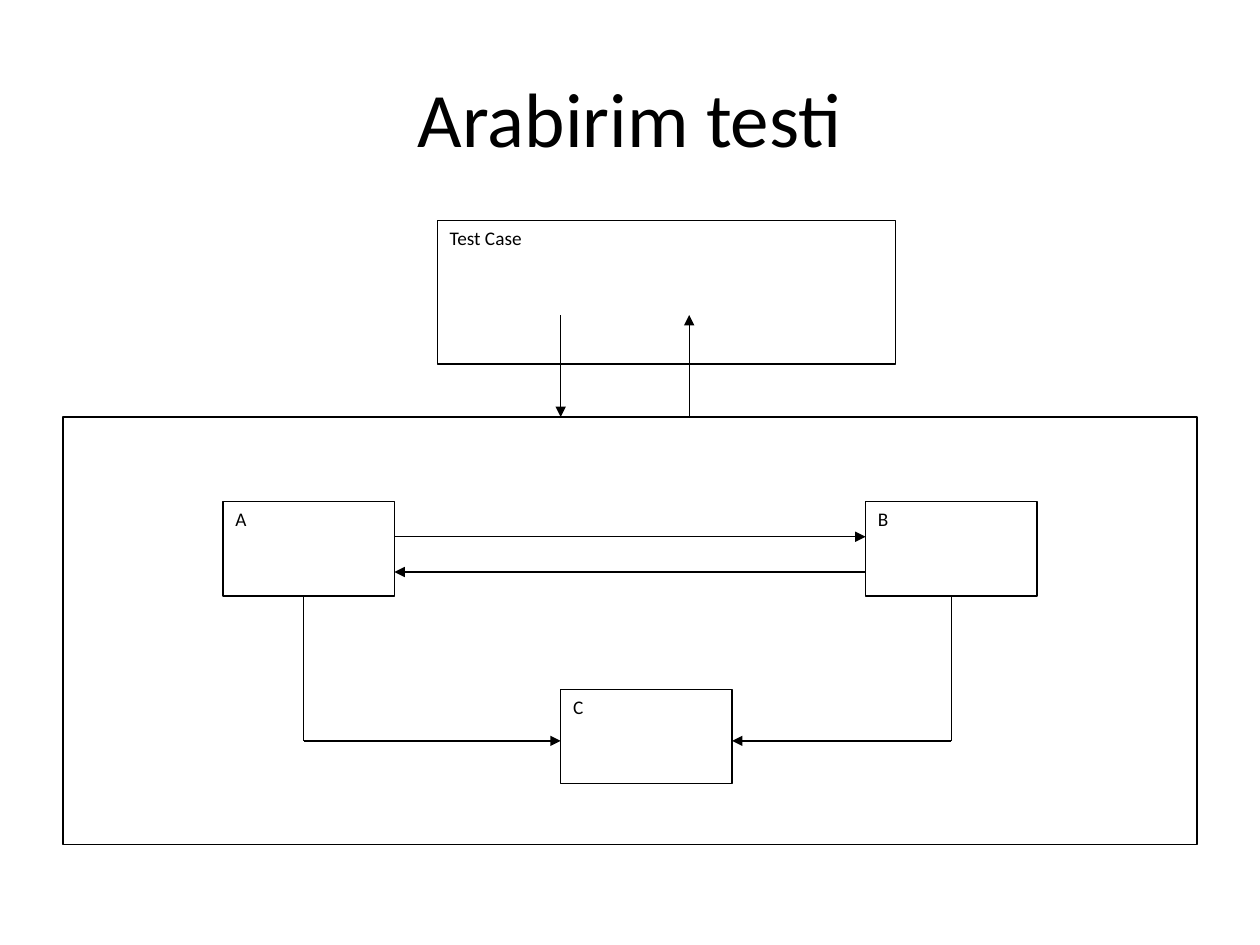
"""Build the interface testing slide: a test case driving components A, B and C."""
from lxml.etree import SubElement
from pptx import Presentation
from pptx.dml.color import RGBColor
from pptx.enum.shapes import MSO_CONNECTOR, MSO_SHAPE
from pptx.enum.text import MSO_ANCHOR, PP_ALIGN
from pptx.oxml.ns import qn
from pptx.util import Inches, Pt

COLORS = {"ink": "000000", "paper": "FFFFFF"}
INK = RGBColor.from_string(COLORS["ink"])
PAPER = RGBColor.from_string(COLORS["paper"])

deck = Presentation()
deck.slide_width, deck.slide_height = Inches(10), Inches(7.5)
slide = deck.slides.add_slide(deck.slide_layouts[6])
COL, ROW = deck.slide_width / 100, deck.slide_height / 75


def place(*cells):
    return [round(cell * (ROW if i % 2 else COL)) for i, cell in enumerate(cells)]


def write(frame, wording, size, align, anchor):
    frame.word_wrap = True
    frame.vertical_anchor = anchor
    paragraph = frame.paragraphs[0]
    paragraph.text = wording
    paragraph.alignment = align
    paragraph.font.name = "Calibri"
    paragraph.font.size = Pt(size)
    paragraph.font.color.rgb = INK


title = slide.shapes.add_textbox(*place(5, 3, 90, 12.5))
write(title.text_frame, "Arabirim testi", 44, PP_ALIGN.CENTER, MSO_ANCHOR.MIDDLE)

part_w, part_h = 13.6, 7.5
a_left, b_left, c_left = 17.7, 68.7, 44.5
upper, lower = 39.8, 54.7
system_top = 33.1

boxes = [
    ("Test Case", 34.7, 17.5, 36.4, 11.4),
    ("", 5, system_top, 90, 33.9),
    ("A", a_left, upper, part_w, part_h),
    ("B", b_left, upper, part_w, part_h),
    ("C", c_left, lower, part_w, part_h),
]
for label, *cells in boxes:
    box = slide.shapes.add_shape(MSO_SHAPE.RECTANGLE, *place(*cells))
    box.shadow.inherit = False
    box.fill.solid()
    box.fill.fore_color.rgb = PAPER
    box.line.color.rgb = INK
    box.line.width = Pt(0.75)
    if label:
        write(box.text_frame, label, 11, PP_ALIGN.LEFT, MSO_ANCHOR.TOP)
        box.text_frame.paragraphs[0].space_after = Pt(10)

a_right, c_right = a_left + part_w, c_left + part_w
a_drop, b_drop = 24.1, b_left + part_w / 2
part_bottom, c_entry = upper + part_h, 58.8
request, reply = 42.6, 45.4
call_x, result_x, case_y = c_left, 54.7, 25

links = [
    (a_drop, part_bottom, a_drop, c_entry, False),
    (a_drop, c_entry, c_left, c_entry, True),
    (b_drop, part_bottom, b_drop, c_entry, False),
    (b_drop, c_entry, c_right, c_entry, True),
    (a_right, request, b_left, request, True),
    (b_left, reply, a_right, reply, True),
    (call_x, case_y, call_x, system_top, True),
    (result_x, system_top, result_x, case_y, True),
]
for *ends, has_arrow in links:
    link = slide.shapes.add_connector(MSO_CONNECTOR.STRAIGHT, *place(*ends))
    link.line.color.rgb = INK
    link.line.width = Pt(0.75)
    if has_arrow:
        SubElement(link.line._get_or_add_ln(), qn("a:tailEnd"), type="triangle")
    SubElement(link._element.spPr, qn("a:effectLst"))

deck.save("out.pptx")
